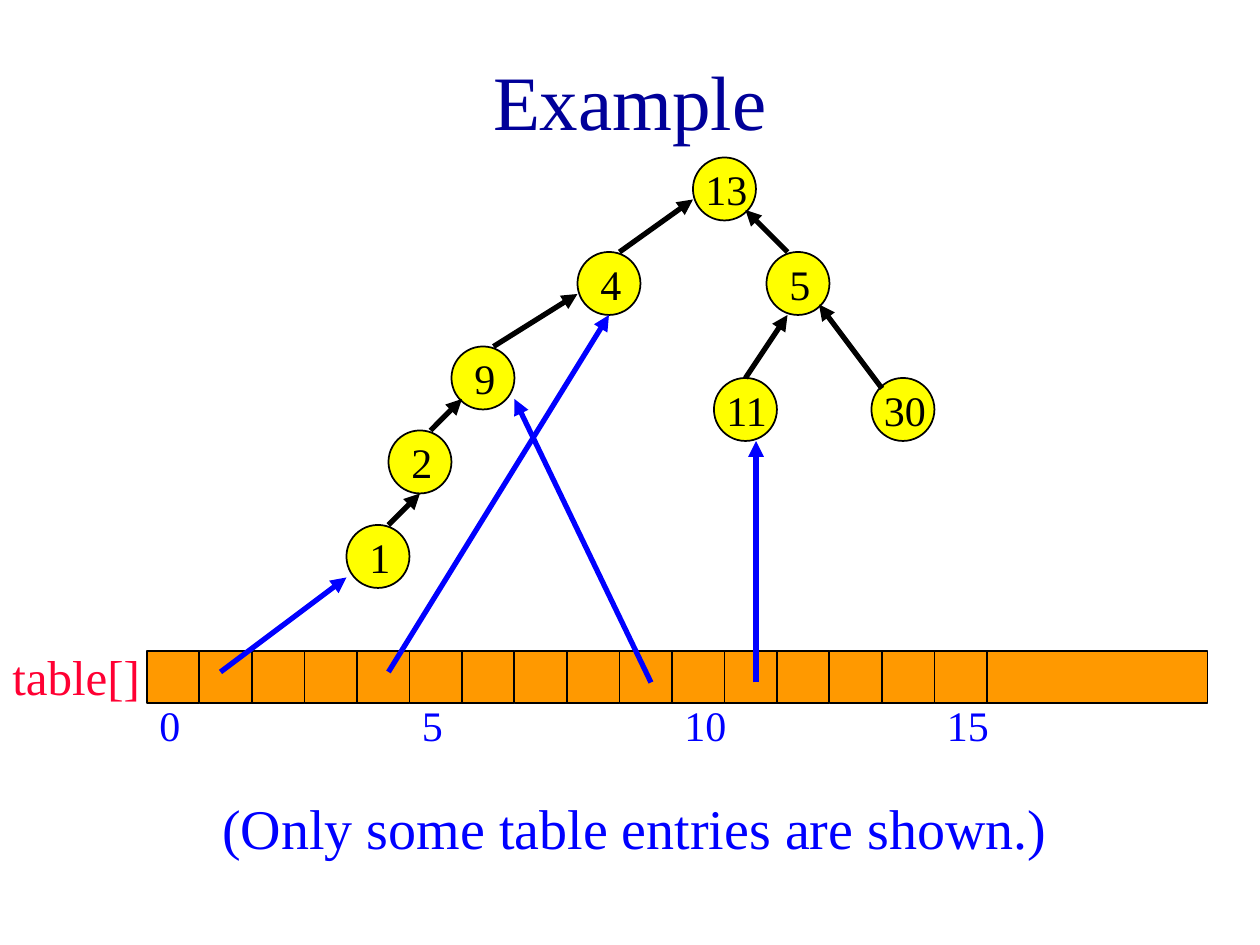
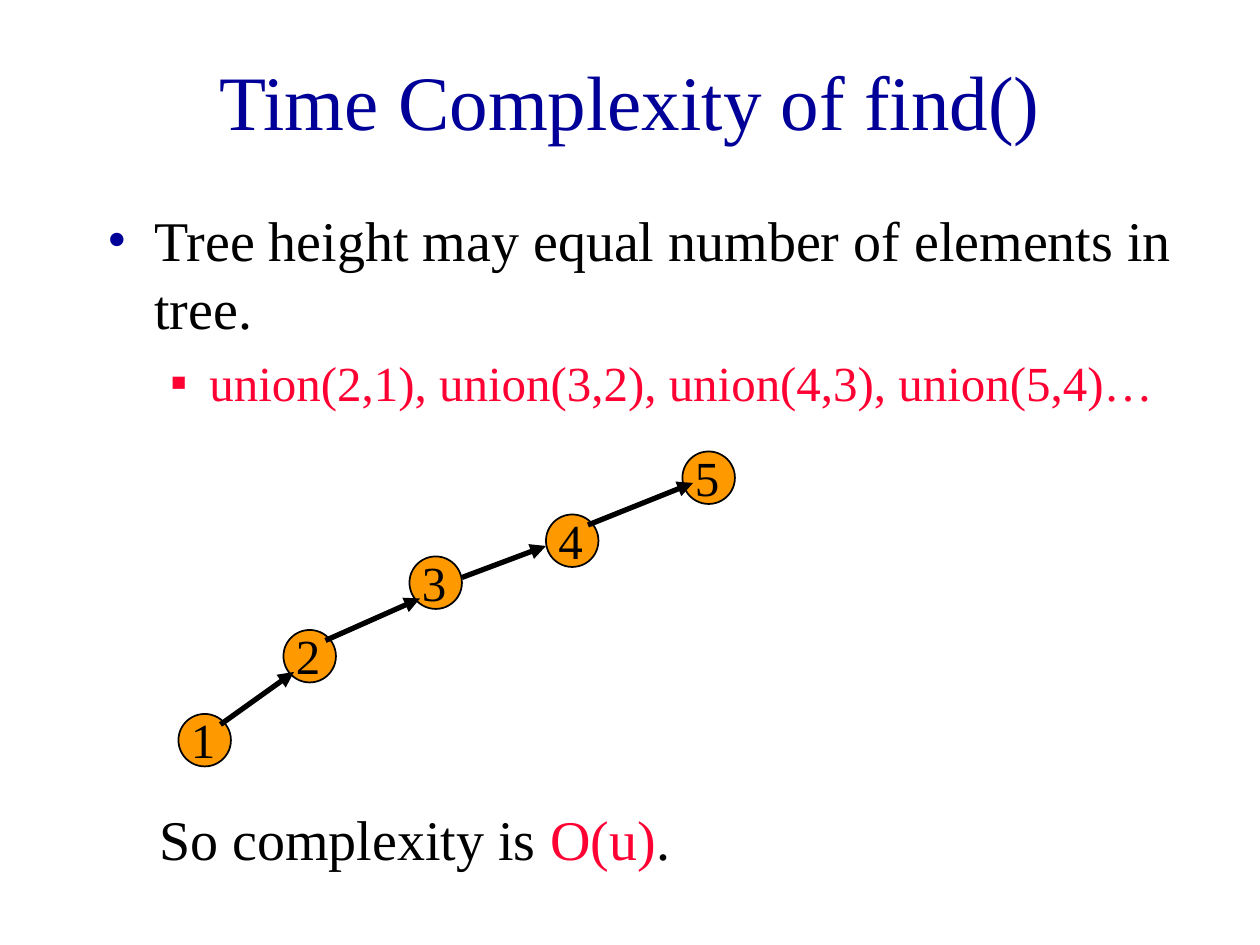
import pptx
import pptx.dml.color
import pptx.enum.shapes
import pptx.enum.text
import pptx.oxml
import pptx.oxml.ns
import pptx.util

PX = 9525  # EMU per px, 96 px to the inch
FONT = "Times New Roman"
NAVY, BLACK, BLUE, RED = "000099", "000000", "0000FF", "FF0033"
YELLOW, ORANGE = "FFFF00", "FF9900"
TITLE_ONLY, TITLE_AND_BODY = 5, 1
OVAL = pptx.enum.shapes.MSO_SHAPE.OVAL
RECTANGLE = pptx.enum.shapes.MSO_SHAPE.RECTANGLE


def rgb(hex_code):
    return pptx.dml.color.RGBColor.from_string(hex_code)


def px(*lengths):
    return [length * PX for length in lengths]


def add_xml(parent, tag, content=""):
    namespace = pptx.oxml.ns.nsdecls("a")
    name = tag.split()[0]
    parent.append(pptx.oxml.parse_xml(f"<a:{tag} {namespace}>{content}</a:{name}>"))


class Deck:
    """Holds the presentation, its shared style and the current slide."""

    def __init__(self):
        self.presentation = pptx.Presentation()
        self.presentation.slide_width, self.presentation.slide_height = px(960, 720)
        self.slide = None

    def new_slide(self, layout, title):
        self.slide = self.presentation.slides.add_slide(
            self.presentation.slide_layouts[layout])
        heading = self.slide.shapes.title
        self.place(heading, 72, 16, 816, 120)
        frame = heading.text_frame
        frame.vertical_anchor = pptx.enum.text.MSO_ANCHOR.MIDDLE
        frame.paragraphs[0].alignment = pptx.enum.text.PP_ALIGN.CENTER
        self.run(frame.paragraphs[0], title, 44, NAVY)

    def place(self, holder, left, top, width, height):
        holder.left, holder.top, holder.width, holder.height = px(left, top, width, height)
        holder.text_frame.auto_size = pptx.enum.text.MSO_AUTO_SIZE.NONE

    def run(self, paragraph, words, size, color):
        run = paragraph.add_run()
        run.text = words
        run.font.name = FONT
        run.font.size = pptx.util.Pt(size)
        run.font.color.rgb = rgb(color)

    def bullets(self, box, items):
        """Fill the body with (level, words, size, color, mark, mark color, indent, hang)."""
        body = self.slide.placeholders[1]
        self.place(body, *box)
        frame = body.text_frame
        for index, item in enumerate(items):
            level, words, size, color, mark, mark_color, indent, hang = item
            paragraph = frame.add_paragraph() if index else frame.paragraphs[0]
            paragraph.level = level
            paragraph.space_before = pptx.util.Pt(size / 4)
            self.run(paragraph, words, size, color)
            properties = paragraph._p.get_or_add_pPr()
            properties.set("marL", str(indent * PX))
            properties.set("indent", str(-hang * PX))
            add_xml(properties, "buClr", f'<a:srgbClr val="{mark_color}"/>')
            add_xml(properties, f'buFont typeface="{FONT}"')
            add_xml(properties, f'buChar char="{mark}"')

    def text(self, box, size, *pieces):
        """Add one line of text made of (words, color) pieces."""
        frame = self.slide.shapes.add_textbox(*px(*box)).text_frame
        frame.word_wrap = True
        for words, color in pieces:
            self.run(frame.paragraphs[0], words, size, color)

    def shape(self, kind, box, fill):
        shape = self.slide.shapes.add_shape(kind, *px(*box))
        shape.shadow.inherit = False
        shape.fill.solid()
        shape.fill.fore_color.rgb = rgb(fill)
        shape.line.color.rgb = rgb(BLACK)
        shape.line.width = pptx.util.Pt(1)

    def arrow(self, start, end, color=BLACK):
        arrow = self.slide.shapes.add_connector(
            pptx.enum.shapes.MSO_CONNECTOR.STRAIGHT, *px(*start, *end))
        arrow.line.color.rgb = rgb(color)
        arrow.line.width = pptx.util.Pt(3)
        add_xml(arrow.line._get_or_add_ln(), 'tailEnd type="triangle"')
        add_xml(arrow._element.spPr, "effectLst")


def build_example(deck):
    deck.new_slide(TITLE_ONLY, "Example")

    node = 48
    tree = {"13": (528, 120), "4": (440, 192), "5": (584, 192), "9": (344, 264),
            "2": (296, 328), "1": (264, 400), "11": (544, 288), "30": (664, 288)}
    for element, (left, top) in tree.items():
        deck.shape(OVAL, (left, top, node, node), YELLOW)
        label = (left + 8, top, 32, node) if len(element) == 1 else (left, top, 64, node)
        deck.text(label, 24, (element, BLACK))

    parent_links = [((472, 192), (528, 152)), ((376, 264), (440, 224)),
                    ((600, 192), (568, 160)), ((328, 328), (352, 304)),
                    ((568, 288), (600, 240)), ((672, 296), (624, 232)),
                    ((296, 400), (320, 376))]
    for child, parent in parent_links:
        deck.arrow(child, parent)

    cell, table_left, table_top, cells = 40, 112, 496, 16
    for index in range(cells):
        left = table_left + index * cell
        deck.shape(RECTANGLE, (left, table_top, cell, cell), ORANGE)
        if index % 5 == 0:
            width = 40 if index < 10 else 64
            deck.text((left, table_top + 32, width, 48), 24, (str(index), BLUE))
    deck.shape(RECTANGLE, (table_left + cells * cell, table_top, 168, cell), ORANGE)
    deck.text((0, 488, 120, 55), 28, ("table[]", RED))

    table_links = [((168, 512), (264, 440)), ((496, 520), (392, 304)),
                   ((576, 520), (576, 336)), ((296, 512), (464, 240))]
    for entry, element in table_links:
        deck.arrow(entry, element, BLUE)

    deck.text((160, 600, 672, 61), 32, ("(Only some table entries are shown.)", BLUE))


def build_time_complexity(deck):
    deck.new_slide(TITLE_AND_BODY, "Time Complexity of find()")
    deck.bullets((72, 152, 848, 184), [
        (0, "Tree height may equal number of elements in tree.",
         32, BLACK, "•", NAVY, 36, 36),
        (1, "union(2,1), union(3,2), union(4,3), union(5,4)…",
         28, RED, "▪", RED, 78, 30),
    ])

    node = 40
    chain = [(136, 544), (216, 480), (312, 424), (416, 392), (520, 344)]
    for element, (left, top) in enumerate(chain, start=1):
        deck.shape(OVAL, (left, top, node, node), ORANGE)
        deck.text((left, top - 8, 80, 55), 28, (str(element), BLACK))

    parent_links = [((168, 552), (224, 512)), ((248, 488), (320, 456)),
                    ((352, 440), (416, 416)), ((448, 400), (528, 368))]
    for child, parent in parent_links:
        deck.arrow(child, parent)

    deck.text((112, 608, 776, 61), 32,
              ("So complexity is ", BLACK), ("O(u)", RED), (".", BLACK))


def main():
    deck = Deck()
    build_example(deck)
    build_time_complexity(deck)
    deck.presentation.save("out.pptx")


if __name__ == "__main__":
    main()
